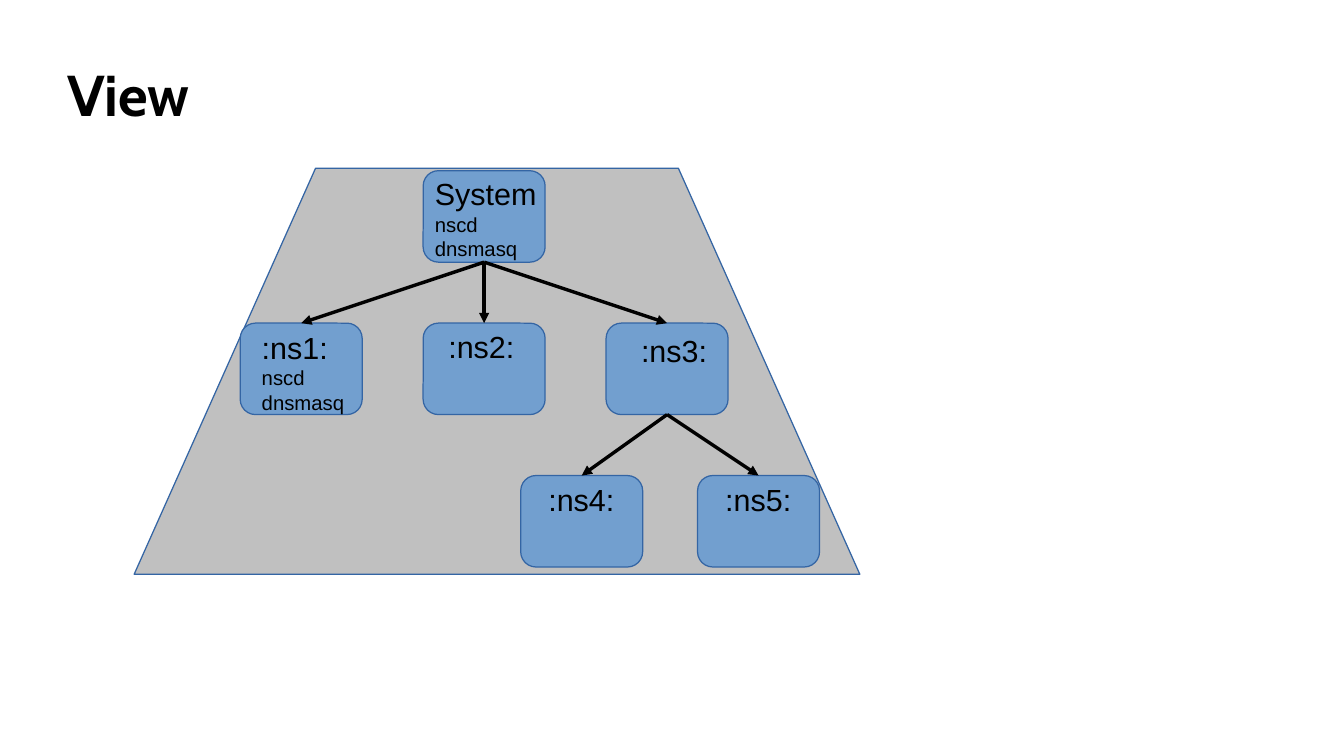
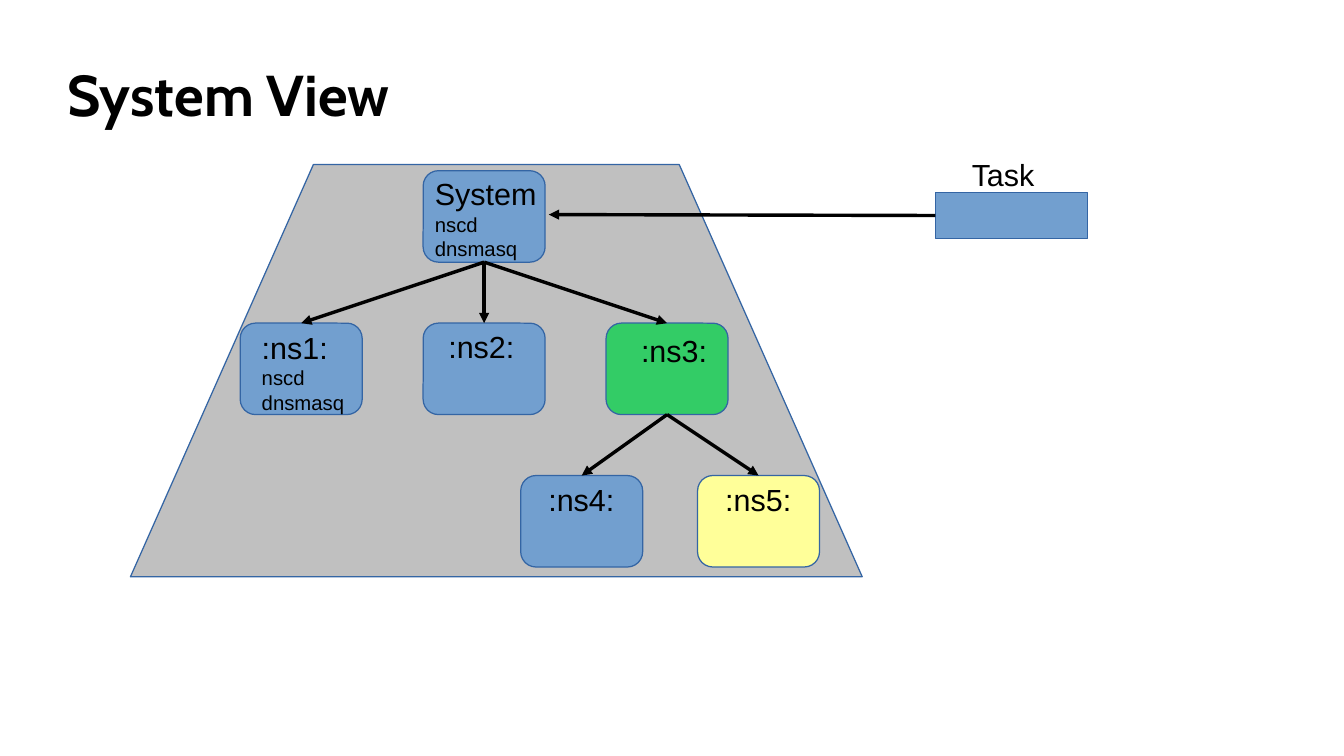
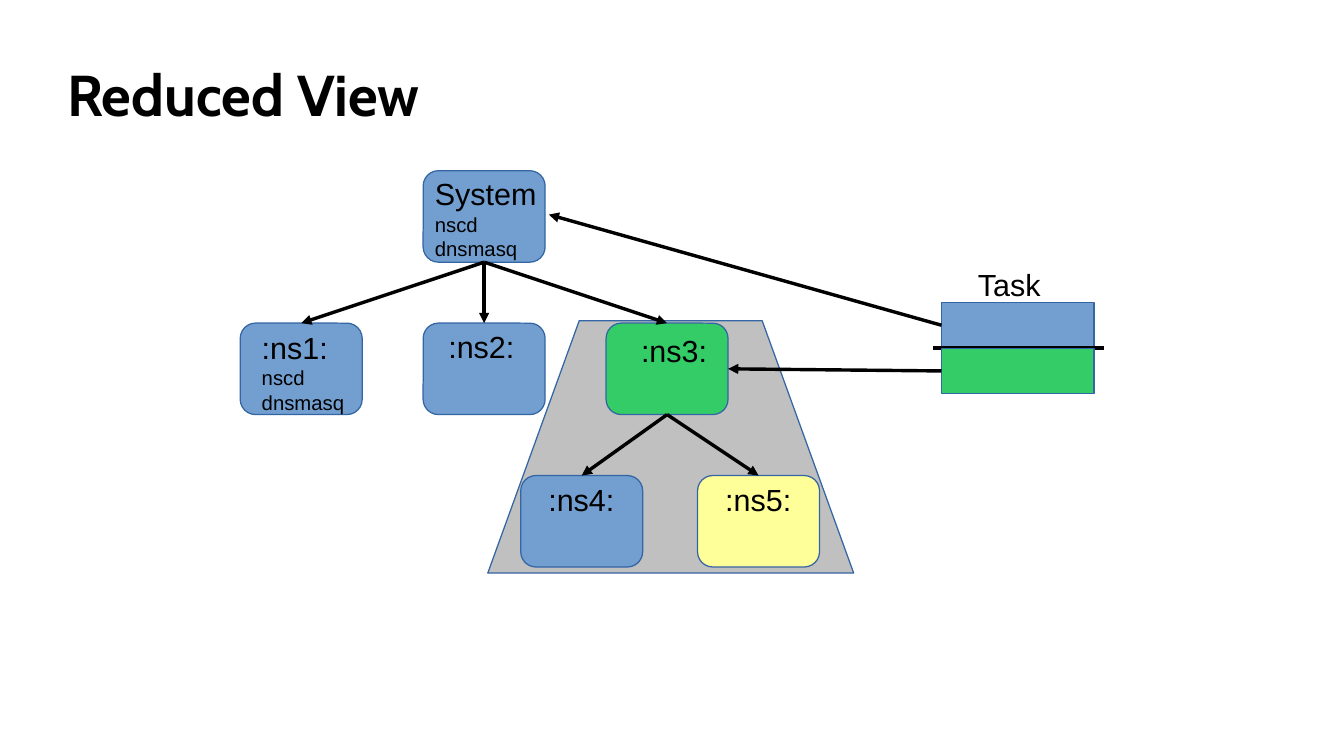
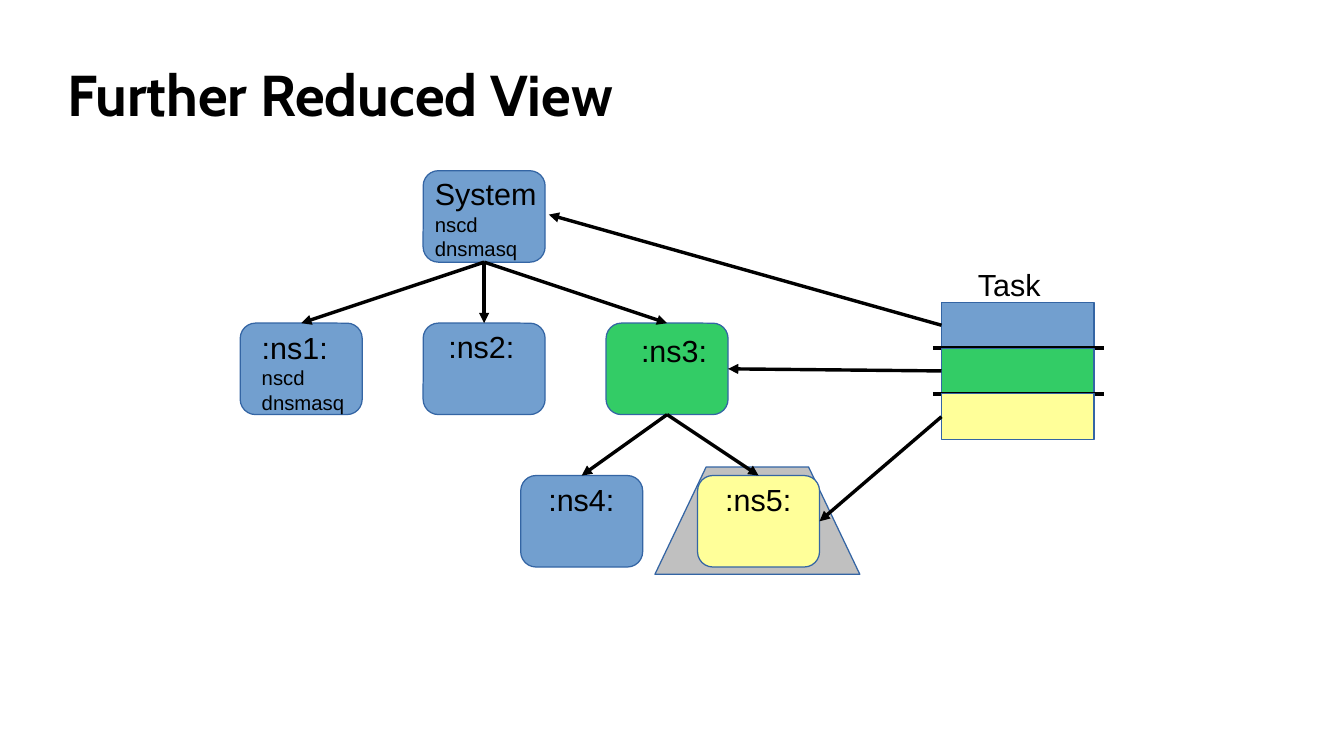
import pptx
import pptx.dml.color
import pptx.enum.shapes
import pptx.enum.text
import pptx.oxml
import pptx.util
from pptx.util import Inches

RGBColor = pptx.dml.color.RGBColor
MSO_SHAPE = pptx.enum.shapes.MSO_SHAPE
BLACK = RGBColor(0x00, 0x00, 0x00)
GREY = RGBColor(0xC0, 0xC0, 0xC0)
BLUE = RGBColor(0x72, 0x9F, 0xCF)
GREEN = RGBColor(0x33, 0xCC, 0x66)
YELLOW = RGBColor(0xFF, 0xFF, 0x99)
OUTLINE = RGBColor(0x34, 0x65, 0xA4)

TITLE_FONT = "Cabin"
BODY_FONT = "Arial"
TREE_X, TREE_Y = 1.97, 1.4
NODE_W, NODE_H = 1.0, 0.75
ROW_STEP = 1.25
BAND_W, BAND_H = 1.25, NODE_H / 2
BOTTOM, TOP, LEFT, RIGHT = 2, 0, 1, 3

# name: (x in the tree, row, left inset, top inset, lines of text)
NODES = {
    "ns4": (2.3, 2, 0.19, 0.01, [":ns4:"]),
    "ns2": (1.5, 1, 0.17, 0, [":ns2:"]),
    "ns1": (0, 1, 0.14, 0.01, [":ns1:", "nscd", "dnsmasq"]),
    "ns3": (3, 1, 0.25, 0.04, [":ns3:"]),
    "ns5": (3.75, 2, 0.19, 0.01, [":ns5:"]),
    "system": (1.5, 0, 0.06, 0, ["System", "nscd", "dnsmasq"]),
}
EDGES = [("system", "ns1"), ("system", "ns2"), ("system", "ns3"),
         ("ns3", "ns4"), ("ns3", "ns5")]

# title, trapezoid box, node colours, task corner, task bands (colour, node)
SLIDES = [
    ("View", (1.1, 1.38, 5.95, 3.33), {}, None, []),
    ("System View", (1.07, 1.35, 6, 3.38),
     {"ns3": GREEN, "ns5": YELLOW}, (7.67, 1.58), [(BLUE, "system")]),
    ("Reduced View", (4, 2.63, 3, 2.07),
     {"ns3": GREEN, "ns5": YELLOW}, (7.72, 2.48),
     [(BLUE, "system"), (GREEN, "ns3")]),
    ("Further Reduced View", (5.37, 3.83, 1.68, 0.88),
     {"ns3": GREEN, "ns5": YELLOW}, (7.72, 2.48),
     [(BLUE, "system"), (GREEN, "ns3"), (YELLOW, "ns5")]),
]


def add_titled_slide(prs, title):
    s = prs.slides.add_slide(prs.slide_layouts[5])
    sp = s.shapes.title
    sp.left, sp.top = Inches(0.55), Inches(0.25)
    sp.width, sp.height = Inches(9.92), Inches(1.04)
    tf = sp.text_frame
    tf.text = title
    tf.auto_size = pptx.enum.text.MSO_AUTO_SIZE.NONE
    tf.vertical_anchor = pptx.enum.text.MSO_ANCHOR.MIDDLE
    set_insets(tf, 0, 0)
    p = tf.paragraphs[0]
    p.alignment = pptx.enum.text.PP_ALIGN.LEFT
    format_run(p.runs[0], TITLE_FONT, 34, True)
    return s


def set_insets(tf, left, top):
    tf.margin_left, tf.margin_top = Inches(left), Inches(top)
    tf.margin_right = tf.margin_bottom = 0


def format_run(r, font, size, bold=False):
    r.font.name = font
    r.font.size = pptx.util.Pt(size)
    r.font.bold = bold
    r.font.color.rgb = BLACK


def write_lines(tf, lines):
    """Write a large first line and smaller lines below it."""
    tf.word_wrap = True
    tf.vertical_anchor = pptx.enum.text.MSO_ANCHOR.TOP
    tf.text = "\n".join(lines)
    for i, p in enumerate(tf.paragraphs):
        p.alignment = pptx.enum.text.PP_ALIGN.LEFT
        format_run(p.runs[0], BODY_FONT, 12 if i else 18)


def add_filled(s, kind, x, y, w, h, fill):
    sp = s.shapes.add_shape(kind, Inches(x), Inches(y), Inches(w), Inches(h))
    sp.shadow.inherit = False
    sp.fill.solid()
    sp.fill.fore_color.rgb = fill
    sp.line.color.rgb = OUTLINE
    sp.line.width = 0
    return sp


def add_line(s, x1, y1, x2, y2, arrow=False):
    line = s.shapes.add_connector(
        pptx.enum.shapes.MSO_CONNECTOR.STRAIGHT,
        Inches(x1), Inches(y1), Inches(x2), Inches(y2))
    line.line.color.rgb = BLACK
    line.line.width = 0
    if arrow:
        ln = line.line._get_or_add_ln()
        ln.append(pptx.oxml.parse_xml(
            '<a:tailEnd xmlns:a="http://schemas.openxmlformats.org/'
            'drawingml/2006/main" type="triangle"/>'))
    pr = line._element.spPr
    pr.append(pr.makeelement(pptx.oxml.ns.qn("a:effectLst"), {}))
    return line


def add_view_area(s, x, y, w, h):
    """Draw the trapezoid whose top is half as wide as its base."""
    sp = add_filled(s, MSO_SHAPE.TRAPEZOID, x, y, w, h, GREY)
    sp.adjustments[0] = w / 4 / min(w, h)


def add_tree(s, x, y, colours):
    nodes = {}
    for name, (dx, row, left, top, lines) in NODES.items():
        sp = add_filled(s, MSO_SHAPE.ROUNDED_RECTANGLE, x + dx,
                        y + row * ROW_STEP, NODE_W, NODE_H,
                        colours.get(name, BLUE))
        set_insets(sp.text_frame, left, top)
        write_lines(sp.text_frame, lines)
        nodes[name] = sp
    for parent, child in EDGES:
        arrow = add_line(s, 0, 0, 1, 1, arrow=True)
        arrow.begin_connect(nodes[parent], BOTTOM)
        arrow.end_connect(nodes[child], TOP)
    return nodes


def add_task(s, x, y, bands, nodes):
    """Stack the task's bands and point each one at its node."""
    boxes = []
    for i, (colour, target) in enumerate(bands):
        top = y + i * BAND_H
        if i:
            add_line(s, x - 0.07, top, x + BAND_W + 0.08, top)
        boxes.append(add_filled(s, MSO_SHAPE.RECTANGLE, x, top,
                                BAND_W, BAND_H, colour))
    for box, (colour, target) in zip(boxes, bands):
        arrow = add_line(s, x, y, 4.5, 1.76, arrow=True)
        arrow.begin_connect(box, LEFT)
        if target != "system":
            arrow.end_connect(nodes[target], RIGHT)
    label = s.shapes.add_textbox(Inches(x + 0.2), Inches(y - 0.35),
                                 Inches(0.8), Inches(0.38))
    write_lines(label.text_frame, ["Task"])


def main():
    prs = pptx.Presentation()
    prs.slide_width, prs.slide_height = Inches(11.02), Inches(6.2)
    for title, area, colours, task, bands in SLIDES:
        s = add_titled_slide(prs, title)
        add_view_area(s, *area)
        nodes = add_tree(s, TREE_X, TREE_Y, colours)
        if task:
            add_task(s, *task, bands, nodes)
    prs.save("out.pptx")


if __name__ == "__main__":
    main()
